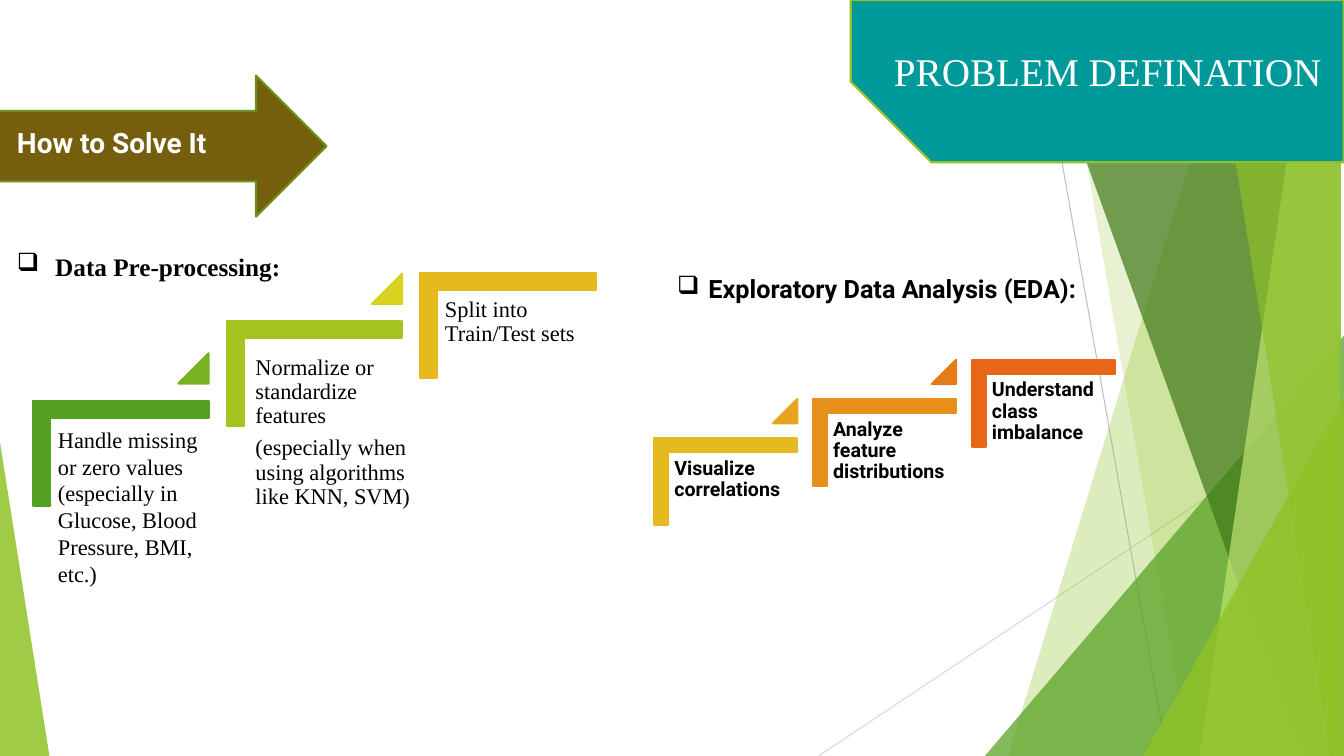
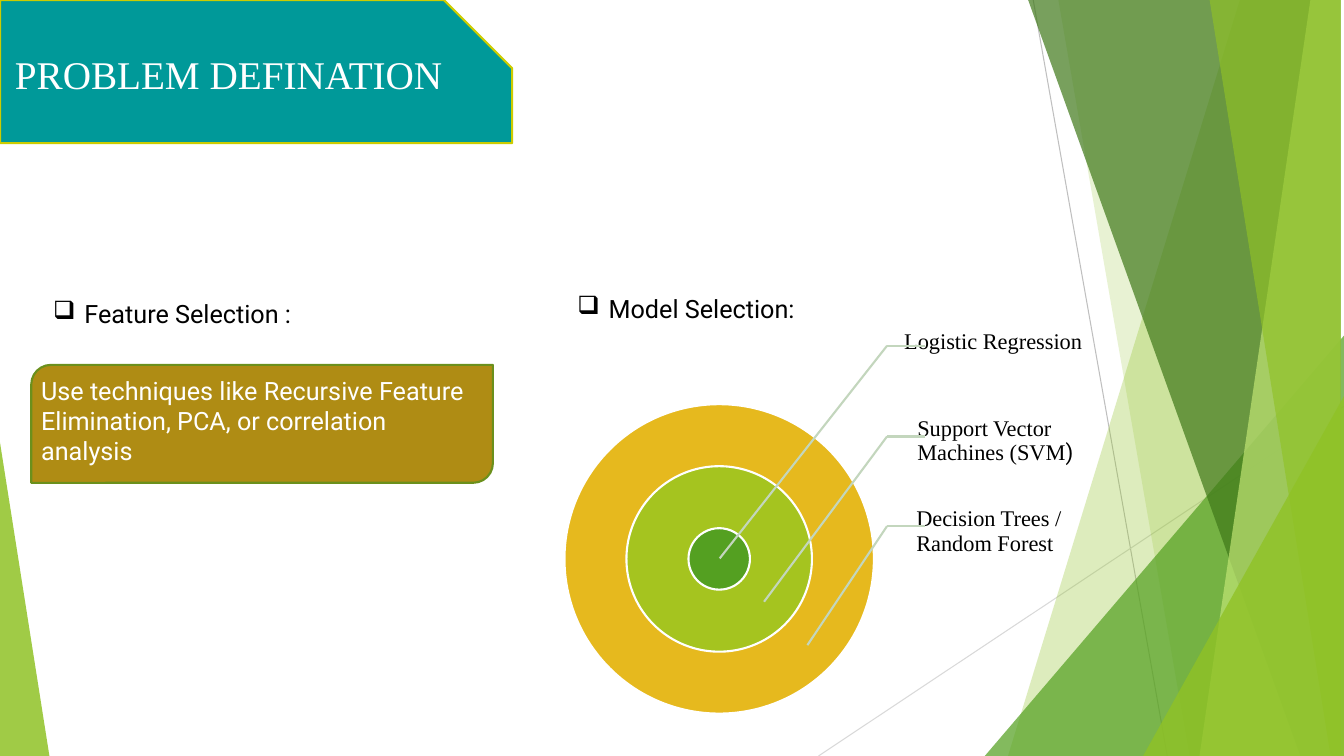
from dataclasses import dataclass, field
from typing import NamedTuple, Optional

from lxml import etree
from pptx import Presentation
from pptx import util as u
from pptx.dml.color import RGBColor
from pptx.enum import shapes, text
from pptx.oxml.ns import qn

# Grid: square cells of a tenth of an inch
CELL = u.Inches(0.1)
COLS, ROWS = 133.33, 75
KIND = shapes.MSO_SHAPE


@dataclass(frozen=True)
class Theme:
    serif: str = "Times New Roman"
    sans: str = "Roboto"
    title: int = 28
    banner: int = 20
    heading: int = 18
    body: int = 16
    small: int = 14
    stroke: float = 1.5
    hairline: float = 0.75
    white: str = "FFFFFF"
    black: str = "000000"
    teal: str = "009999"
    lime: str = "90C226"
    pale_lime: str = "C0E474"
    green: str = "54A021"
    dark_green: str = "3F7819"
    edge: str = "6B901C"
    yellow_edge: str = "CCCC00"
    brown: str = "755E0D"
    ochre: str = "AF8C14"
    leaf: str = "A5C41F"
    gold: str = "E6B91E"
    callout: str = "C3D6BD"
    gray: str = "BFBFBF"
    light_gray: str = "D9D9D9"


T = Theme()


class Box(NamedTuple):
    x: float
    y: float
    w: float
    h: float


@dataclass(frozen=True)
class Style:
    size: int
    font: str = T.serif
    color: str = T.black
    bold: bool = False
    spacing: float = 1.0
    after: float = 0
    indent: float = 0
    inset: tuple = (1, 0.5, 1, 0.5)
    middle: bool = False
    wrap: bool = True


class Facet(NamedTuple):
    points: tuple
    color: str
    alpha: int


class Step(NamedTuple):
    label: tuple
    x: float
    y: float
    color: str
    arrow: Optional[str] = None
    spacing: float = 0.9
    shift: tuple = (0, 0)


@dataclass(frozen=True)
class Staircase:
    w: float
    h: float
    arrow: float
    rise: float
    pad: float
    text_w: float
    text_h: float
    style: dict
    steps: list = field(default_factory=list)


class Ring(NamedTuple):
    diameter: float
    color: str
    label: tuple
    label_box: Box
    elbow_y: float
    target: tuple


def cells(*values: float) -> list:
    return [u.Emu(round(v * CELL)) for v in values]


def paint(sp, fill: str, line: Optional[str] = None, alpha: int = 100) -> None:
    sp.shadow.inherit = False
    sp.fill.solid()
    sp.fill.fore_color.rgb = RGBColor.from_string(fill)
    if alpha < 100:
        clr = sp._element.spPr.find(qn("a:solidFill")).find(qn("a:srgbClr"))
        etree.SubElement(clr, qn("a:alpha")).set("val", str(alpha * 1000))
    if line:
        sp.line.color.rgb = RGBColor.from_string(line)
        sp.line.width = u.Pt(T.stroke)
    else:
        sp.line.fill.background()


def add_shape(s, kind, box: Box, fill: str, line: Optional[str] = None,
              adj: tuple = (), rotation: float = 0, alpha: int = 100) -> None:
    sp = s.shapes.add_shape(kind, *cells(*box))
    for i, value in enumerate(adj):
        sp.adjustments[i] = value
    sp.rotation = rotation
    paint(sp, fill, line, alpha)


def add_line(s, start: tuple, end: tuple, color: str, width: float) -> None:
    ln = s.shapes.add_connector(shapes.MSO_CONNECTOR.STRAIGHT, *cells(*start, *end))
    ln.line.color.rgb = RGBColor.from_string(color)
    ln.line.width = u.Pt(width)
    etree.SubElement(ln._element.spPr, qn("a:effectLst"))


def add_text(s, box: Box, paragraphs: tuple, style: Style) -> None:
    """Each paragraph is a string, or a tuple of (string, font) runs."""
    tf = s.shapes.add_textbox(*cells(*box)).text_frame
    left, top, right, bottom = cells(*style.inset)
    frame = dict(word_wrap=style.wrap, margin_left=left, margin_top=top,
                 margin_right=right, margin_bottom=bottom,
                 vertical_anchor=text.MSO_ANCHOR.MIDDLE if style.middle
                 else text.MSO_ANCHOR.TOP)
    for name, value in frame.items():
        setattr(tf, name, value)
    for i, content in enumerate(paragraphs):
        p = tf.paragraphs[0] if i == 0 else tf.add_paragraph()
        p.line_spacing = style.spacing
        p.space_after = u.Pt(style.after)
        if style.indent:
            add_bullet(p, style.indent)
        runs = ((content, style.font),) if isinstance(content, str) else content
        for words, font in runs:
            r = p.add_run()
            r.text = words
            for name, value in dict(name=font, size=u.Pt(style.size),
                                    bold=style.bold).items():
                setattr(r.font, name, value)
            r.font.color.rgb = RGBColor.from_string(style.color)


def add_bullet(p, indent: float) -> None:
    pPr = p._p.get_or_add_pPr()
    width = cells(indent)[0]
    pPr.set("marL", str(width))
    pPr.set("indent", str(-width))
    etree.SubElement(pPr, qn("a:buChar")).set("char", "❑")


# Shared backdrop, from back to front
RIGHT, FLOOR = (COLS, 0), (COLS, ROWS)
FACETS = [
    Facet(((122.8, 0), RIGHT, FLOOR, (100.4, ROWS)), T.lime, 30),
    Facet(((105, 0), RIGHT, FLOOR, (118.3, ROWS)), T.lime, 20),
    Facet(((COLS, 33.3), FLOOR, (97.7, ROWS)), T.green, 72),
    Facet(((102.1, 0), RIGHT, FLOOR, (129.1, ROWS)), T.dark_green, 70),
    Facet(((130.3, 0), RIGHT, FLOOR, (119.2, ROWS)), T.pale_lime, 70),
    Facet(((119.6, 0), RIGHT, FLOOR, (131.8, ROWS)), T.lime, 65),
    Facet(((COLS, 39.3), FLOOR, (113.4, ROWS)), T.lime, 80),
    Facet(((0, 43.9), (4.9, ROWS), (0, ROWS)), T.lime, 85),
]


def add_backdrop(s) -> None:
    add_line(s, (102.5, 0), (115.8, ROWS), T.gray, T.hairline)
    add_line(s, (COLS, 40.3), (81.2, ROWS), T.light_gray, T.hairline)
    for facet in FACETS:
        if len(facet.points) == 3:
            xs, ys = zip(*facet.points)
            box = Box(min(xs), min(ys), max(xs) - min(xs), max(ys) - min(ys))
            add_shape(s, KIND.ISOSCELES_TRIANGLE, box, facet.color,
                      adj=(1 if min(xs) else 0,), alpha=facet.alpha)
            continue
        start, *rest = facet.points
        outline = s.shapes.build_freeform(*start, scale=CELL)
        outline.add_line_segments(rest, close=True)
        paint(outline.convert_to_shape(), facet.color, alpha=facet.alpha)


def add_title(s, band: Box, line: str, snip: float, rotation: float, box: Box) -> None:
    add_shape(s, KIND.SNIP_1_RECTANGLE, band, T.teal, line, (snip,), rotation)
    add_text(s, box, ("PROBLEM DEFINATION",), Style(T.title, color=T.white))


def add_staircase(s, stairs: Staircase) -> None:
    for step in stairs.steps:
        # The bracket is drawn upright, then turned about its centre
        turn = (stairs.w - stairs.h) / 2
        bracket = Box(step.x + turn, step.y - turn, stairs.h, stairs.w)
        add_shape(s, KIND.CORNER, bracket, step.color, step.color, (0.161, 0.161), 90)
        dx, dy = step.shift
        box = Box(step.x + stairs.pad + dx, step.y + stairs.pad + dy,
                  stairs.text_w + 5 * dx, stairs.text_h)
        add_text(s, box, step.label, Style(spacing=step.spacing, **stairs.style))
        if step.arrow:
            arrow = Box(step.x + stairs.w - stairs.arrow, step.y - stairs.rise,
                        stairs.arrow, stairs.arrow)
            add_shape(s, KIND.ISOSCELES_TRIANGLE, arrow, step.arrow, step.arrow, (1,))


PREPROCESSING = Staircase(
    17.4, 10.4, 3, 4.75, 1.75, 15.7, 13.7,
    dict(size=T.body, after=5.6, inset=(0.7,) * 4),
    [Step(("Handle missing or zero values (especially in Glucose, Blood Pressure, BMI, etc.)",),
          3.3, 39.8, T.green, "79B220", 1.0),
     Step(("Normalize or standardize features",
           "(especially when using algorithms like KNN, SVM)"),
          22.5, 31.9, T.leaf, "D7D31D", shift=(0.4, 1)),
     Step(("Split into Train/Test sets",), 41.7, 27.1, T.gold)])

EDA_LABELS = [("Visualize correlations", T.gold, "E6A51D"),
              ("Analyze feature distributions", "E6901B", "E77B19"),
              ("Understand class imbalance", "E76618", None)]
EXPLORATION = Staircase(
    14.2, 8.6, 2.4, 3.9, 1.4, 12.8, 11.3,
    dict(size=T.small, font=T.sans, bold=True, after=4.9, inset=(0.6,) * 4),
    [Step((label,), 64.9 + 15.75 * i, 43.5 - 3.9 * i, color, arrow)
     for i, (label, color, arrow) in enumerate(EDA_LABELS)])

# Rings from the outside in, each with its callout
RINGS = [
    Ring(30.7, T.gold, ("Decision Trees / Random Forest",),
         Box(89.7, 48.3, 19.6, 8.9), 52.2, (80.1, 64)),
    Ring(18.4, T.leaf, ((("Support Vector Machines (SVM", T.serif), (")", T.sans)),),
         Box(89.8, 40.6, 19.3, 6.3), 43.3, (75.8, 59.7)),
    Ring(6.1, T.green, ("Logistic Regression",),
         Box(88.5, 29.5, 22, 8.9), 34.3, (71.4, 55.4)),
]


def add_rings(s, cx: float, cy: float, elbow_x: float) -> None:
    for ring in RINGS:
        d = ring.diameter
        add_shape(s, KIND.OVAL, Box(cx - d / 2, cy - d / 2, d, d), ring.color, T.white)
    style = Style(T.body, spacing=0.9, after=5.6, inset=(1.2, 0.2, 0.2, 0.2), middle=True)
    for ring in RINGS:
        add_text(s, ring.label_box, ring.label, style)
        elbow = (elbow_x, ring.elbow_y)
        for end in ((elbow_x + 3.8, ring.elbow_y), ring.target):
            add_line(s, elbow, end, T.callout, T.stroke)


def build_preparation(s) -> None:
    add_title(s, Box(84.4, 0, 48.9, 16.1), T.lime, 0.497, 180, Box(87.7, 4.2, 49.2, 13.6))
    add_staircase(s, PREPROCESSING)
    add_staircase(s, EXPLORATION)
    add_shape(s, KIND.RIGHT_ARROW, Box(-0.3, 7.5, 32.7, 14), T.brown, T.edge)
    add_text(s, Box(0.7, 12, 22.7, 4.4), ("How to Solve It",),
             Style(T.banner, T.sans, T.white, True))
    add_text(s, Box(66.2, 26.6, 43.2, 7.1), ("Exploratory Data Analysis (EDA):",),
             Style(T.heading, T.sans, bold=True, indent=3.1))
    add_text(s, Box(0.7, 24.4, 28.4, 4), ("Data Pre-processing:",),
             Style(T.heading, bold=True, indent=3.8, wrap=False))


def build_selection(s) -> None:
    add_shape(s, KIND.ROUND_2_DIAG_RECTANGLE, Box(3.1, 36.2, 45.8, 11.7), T.ochre, T.edge)
    add_title(s, Box(0, 0, 50.8, 14.2), T.yellow_edge, 0.477, 0, Box(0.5, 4.5, 59.6, 14.4))
    add_rings(s, 71.35, 55.45, 88)
    add_text(s, Box(4.3, 29.1, 30.7, 7.1), ("Feature Selection :",),
             Style(T.heading, T.sans, indent=3.1))
    add_text(s, Box(3.1, 36.7, 44.6, 10.1),
             ("Use techniques like Recursive Feature Elimination, PCA, or correlation analysis",),
             Style(T.heading, T.sans, T.white))
    add_text(s, Box(56.3, 28.6, 24.7, 4), ("Model Selection:",),
             Style(T.heading, T.sans, indent=3.1, wrap=False))


def main() -> None:
    prs = Presentation()
    prs.slide_width, prs.slide_height = cells(COLS, ROWS)
    for build in (build_preparation, build_selection):
        s = prs.slides.add_slide(prs.slide_layouts[6])
        add_backdrop(s)
        build(s)
    prs.save("out.pptx")


if __name__ == "__main__":
    main()
